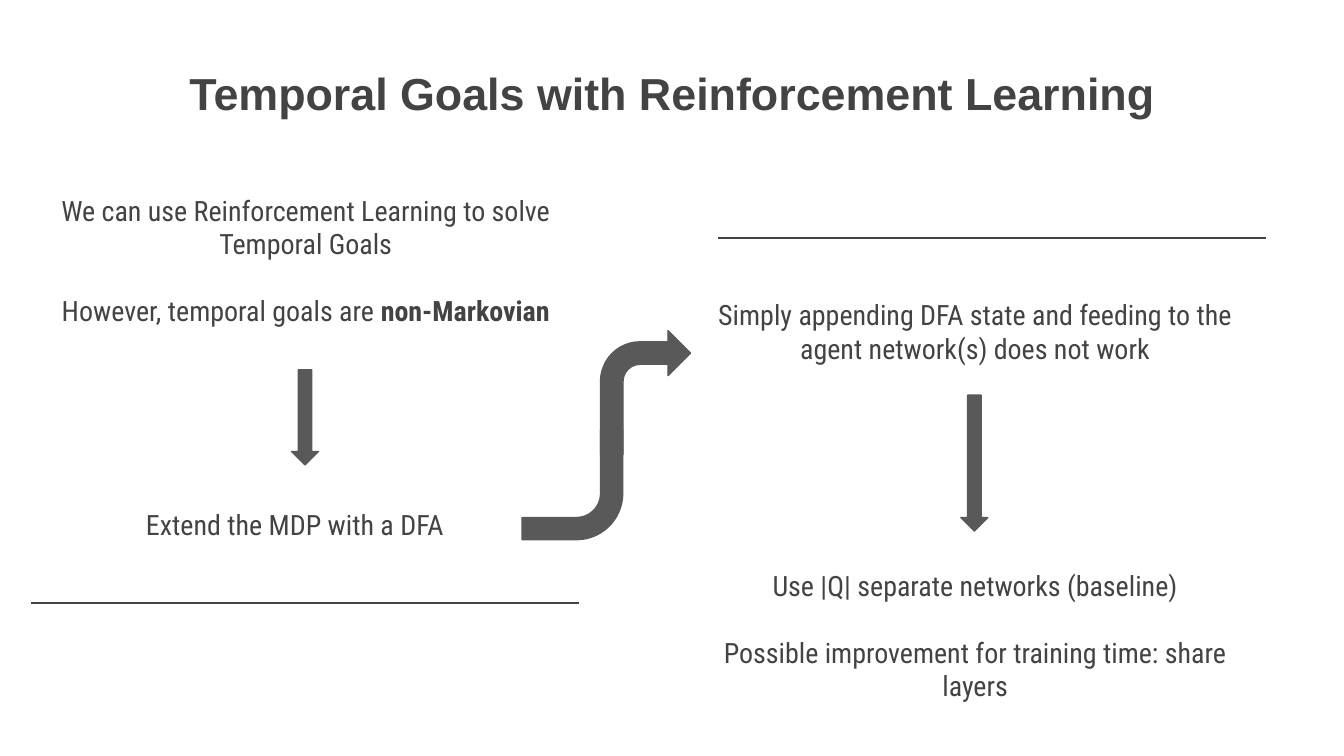
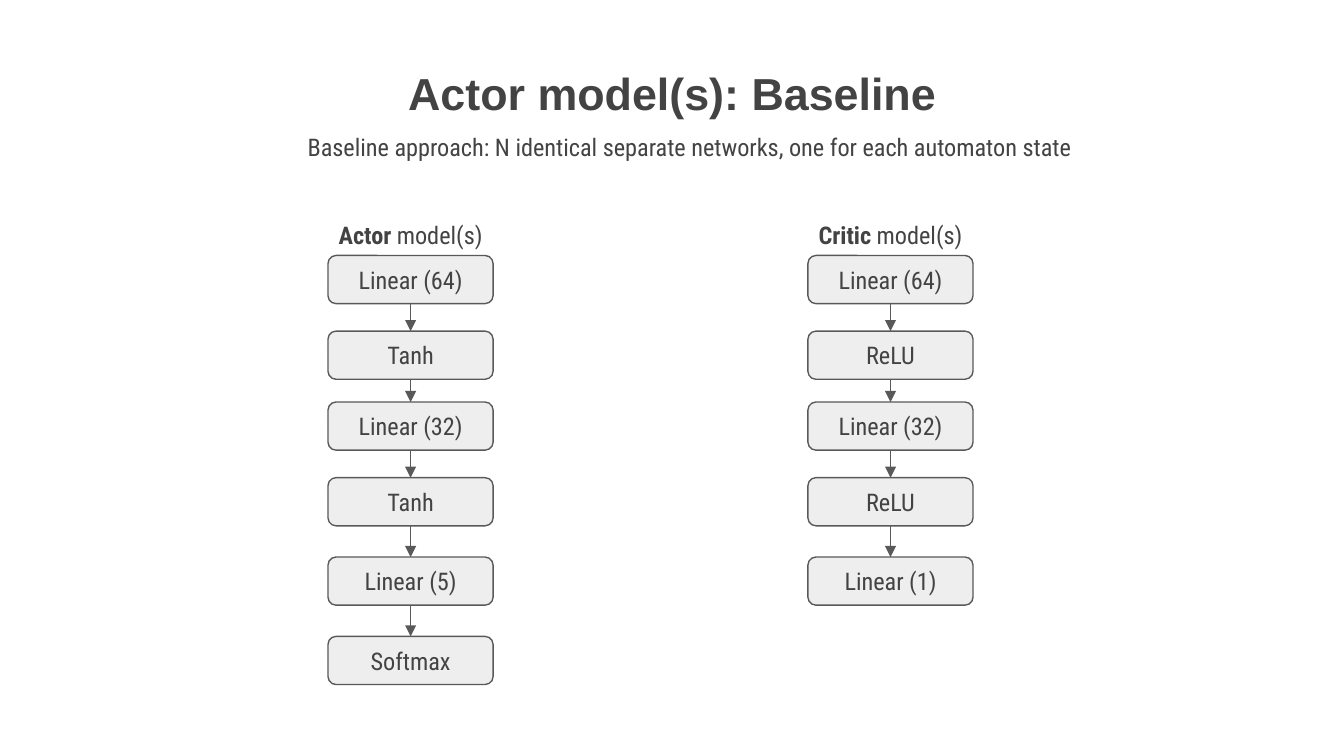
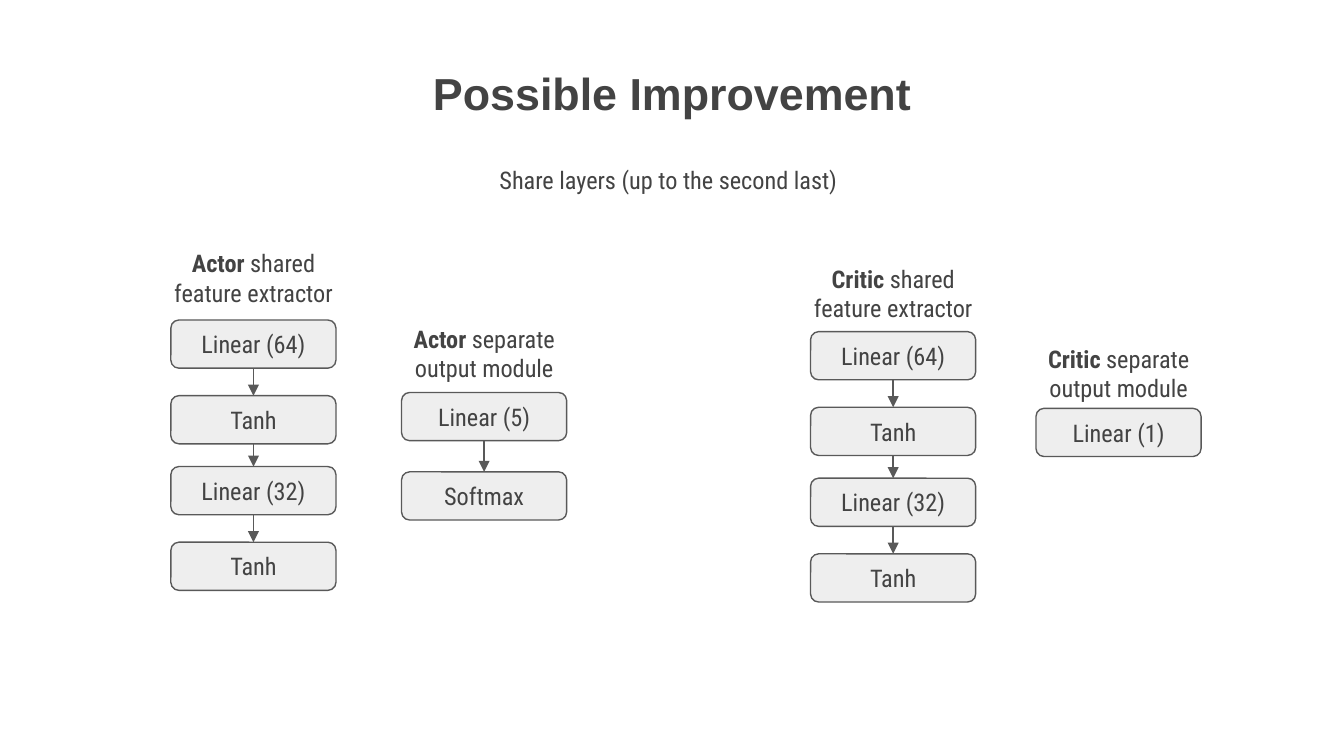
from itertools import accumulate, pairwise

from pptx import Presentation
from pptx.dml.color import RGBColor
from pptx.enum.shapes import MSO_CONNECTOR, MSO_SHAPE
from pptx.enum.text import MSO_ANCHOR, MSO_AUTO_SIZE, PP_ALIGN
from pptx.oxml.ns import qn
from pptx.util import Cm, Pt
from lxml.etree import SubElement

# Shared look; all lengths are centimetres
PAGE_WIDTH, PAGE_HEIGHT = 25.4, 14.29
INK, GREY, PALE = "434343", "595959", "EEEEEE"
TITLE_FONT, BODY_FONT = "Arial", "Roboto Condensed"
TITLE_TOP, TITLE_HEIGHT = 0.99, 1.57
INSET = 0.25
LAYER_WIDTH, LAYER_HEIGHT = 3.12, 0.91
TRUNK_STEPS = (1.43, 1.34, 1.43, 1.5, 1.5)
OUTPUT_STEPS = (1.5,)

# Slide 1: a paragraph is a string or a list of (text, bold) runs
GOALS_TITLE = "Temporal Goals with Reinforcement Learning"
GOALS_INTRO = (
    (0.61, 3.4, 10.34, 2.36),
    ["We can use Reinforcement Learning to solve Temporal Goals",
     [("However, temporal goals are ", False), ("non-Markovian", True)]],
)
GOALS_NOTES = [
    ((2.51, 9.35, 6.5, 1.14), ["Extend the MDP with a DFA"], PP_ALIGN.LEFT),
    ((13.16, 5.38, 10.54, 1.07),
     ["Simply appending DFA state and feeding to the agent network(s) does not work"],
     PP_ALIGN.CENTER),
    ((13.16, 10.49, 10.54, 2.34),
     ["Use |Q| separate networks (baseline)",
      "Possible improvement for training time: share layers"],
     PP_ALIGN.CENTER),
]
DOWN_ARROWS = [(5.51, 6.99, 0.51, 1.8), (18.16, 7.47, 0.51, 2.57)]
BENT_ARROWS = [
    # place, adjustments, rotation, mirrored
    ((9.55, 7.98, 2.54, 1.9), (0.25, 0.11, 0.25, 0.46), 90, True),
    ((11.35, 6.25, 1.7, 2.34), (0.25, 0.25, 0.25, 0.44), 0, False),
]
RULES = [((10.95, 11.4), (0.58, 11.4)), ((23.93, 4.5), (13.56, 4.5))]

# Slides 2 and 3: stacks of network layers
ACTOR_TRUNK = ["Linear (64)", "Tanh", "Linear (32)", "Tanh"]
ACTOR_OUTPUT = ["Linear (5)", "Softmax"]
CRITIC_BASELINE = ["Linear (64)", "ReLU", "Linear (32)", "ReLU", "Linear (1)"]


def caption(role, *lines):
    """Paragraphs that start with a bold role name."""
    return [[(role, True), (" " + lines[0], False)], *lines[1:]]


SHARED = ("shared", "feature extractor")
SEPARATE = ("separate output module",)
# caption, caption (top, width, height), stack (left, top), layers, steps
NETWORK_SLIDES = [
    {
        "title": "Actor model(s): Baseline",
        "subtitle": "Baseline approach: N identical separate networks, "
                    "one for each automaton state",
        "place": (5.31, 2.24, 15.42, 1.3),
        "stacks": [
            (caption("Actor", "model(s)"), (3.91, 3.86, 0.91), (6.2, 4.83),
             ACTOR_TRUNK + ACTOR_OUTPUT, TRUNK_STEPS),
            (caption("Critic", "model(s)"), (3.91, 3.86, 0.91), (15.27, 4.83),
             CRITIC_BASELINE, TRUNK_STEPS),
        ],
    },
    {
        "title": "Possible Improvement",
        "subtitle": "Share layers (up to the second last)",
        "place": (5.46, 2.87, 14.33, 1.3),
        "stacks": [
            (caption("Actor", *SHARED), (4.45, 3.86, 1.7), (3.23, 6.05),
             ACTOR_TRUNK, TRUNK_STEPS),
            (caption("Actor", *SEPARATE), (5.87, 3.51, 1.7), (7.59, 7.42),
             ACTOR_OUTPUT, OUTPUT_STEPS),
            (caption("Critic", *SHARED), (4.75, 3.86, 1.7), (15.32, 6.27),
             ACTOR_TRUNK, TRUNK_STEPS),
            (caption("Critic", *SEPARATE), (6.25, 3.51, 1.7), (19.58, 7.72),
             ["Linear (1)"], OUTPUT_STEPS),
        ],
    },
]


def color(value):
    return RGBColor.from_string(value)


def lengths(place):
    return [Cm(value) for value in place]


def write(box, paragraphs, size=13, font=BODY_FONT, bold=False, gap=0,
          align=PP_ALIGN.CENTER, anchor=MSO_ANCHOR.TOP):
    frame = box.text_frame
    frame.word_wrap = True
    frame.auto_size = MSO_AUTO_SIZE.NONE
    frame.vertical_anchor = anchor
    frame.margin_left = frame.margin_right = Cm(INSET)
    frame.margin_top = frame.margin_bottom = Cm(INSET)
    for index, content in enumerate(paragraphs):
        para = frame.add_paragraph() if index else frame.paragraphs[0]
        para.alignment = align
        para.space_before = Pt(gap if index else 0)
        runs = [(content, bold)] if isinstance(content, str) else content
        for text, strong in runs:
            span = para.add_run()
            span.text = text
            span.font.name = font
            span.font.size = Pt(size)
            span.font.bold = strong
            span.font.color.rgb = color(INK)


def move(box, place):
    box.left, box.top, box.width, box.height = lengths(place)


def add_page(deck, title, title_width, place, paragraphs, **style):
    """New slide with its title and first text in the placeholders."""
    page = deck.slides.add_slide(deck.slide_layouts[0])
    heading, body = page.placeholders
    move(heading, ((PAGE_WIDTH - title_width) / 2, TITLE_TOP, title_width, TITLE_HEIGHT))
    write(heading, [title], size=24, font=TITLE_FONT, bold=True)
    move(body, place)
    write(body, paragraphs, **style)
    return page


def add_text(page, place, paragraphs, **style):
    write(page.shapes.add_textbox(*lengths(place)), paragraphs, **style)


def add_block(page, kind, place, fill=GREY):
    block = page.shapes.add_shape(kind, *lengths(place))
    block.shadow.inherit = False
    block.fill.solid()
    block.fill.fore_color.rgb = color(fill)
    block.line.color.rgb = color(GREY)
    block.line.width = Pt(0.75)
    return block


def add_line(page, start=(0, 0), end=(0, 0), ink=INK, arrow=False):
    line = page.shapes.add_connector(MSO_CONNECTOR.STRAIGHT, *lengths(start + end))
    line.line.color.rgb = color(ink)
    line.line.width = Pt(0.75)
    if arrow:
        SubElement(line.line._get_or_add_ln(), qn("a:tailEnd"), type="triangle")
    SubElement(line._element.spPr, qn("a:effectLst"))
    return line


def add_stack(page, label, label_place, corner, layers, steps):
    """Captioned column of layers joined by arrows."""
    left, top = corner
    label_top, width, height = label_place
    label_left = left + (LAYER_WIDTH - width) / 2
    add_text(page, (label_left, label_top, width, height), label)
    blocks = []
    for name, layer_top in zip(layers, accumulate(steps, initial=top)):
        block = add_block(page, MSO_SHAPE.ROUNDED_RECTANGLE,
                          (left, layer_top, LAYER_WIDTH, LAYER_HEIGHT), fill=PALE)
        write(block, [name], anchor=MSO_ANCHOR.MIDDLE)
        blocks.append(block)
    for upper, lower in pairwise(blocks):
        link = add_line(page, ink=GREY, arrow=True)
        link.begin_connect(upper, 2)
        link.end_connect(lower, 0)


def build_goals(deck):
    style = {"size": 15, "gap": 18}
    page = add_page(deck, GOALS_TITLE, 20.12, *GOALS_INTRO, **style)
    for place, paragraphs, align in GOALS_NOTES:
        add_text(page, place, paragraphs, align=align, **style)
    for place in DOWN_ARROWS:
        add_block(page, MSO_SHAPE.DOWN_ARROW, place)
    for start, end in RULES:
        add_line(page, start, end)
    for place, adjustments, rotation, mirrored in BENT_ARROWS:
        arrow = add_block(page, MSO_SHAPE.BENT_ARROW, place)
        for index, value in enumerate(adjustments):
            arrow.adjustments[index] = value
        arrow.rotation = rotation
        if mirrored:
            arrow._element.spPr.xfrm.set("flipH", "1")


def build_networks(deck, content):
    page = add_page(deck, content["title"], 14.48, content["place"], [content["subtitle"]])
    for stack in content["stacks"]:
        add_stack(page, *stack)


def main():
    deck = Presentation()
    deck.slide_width, deck.slide_height = Cm(PAGE_WIDTH), Cm(PAGE_HEIGHT)
    build_goals(deck)
    for content in NETWORK_SLIDES:
        build_networks(deck, content)
    deck.save("out.pptx")


if __name__ == "__main__":
    main()
